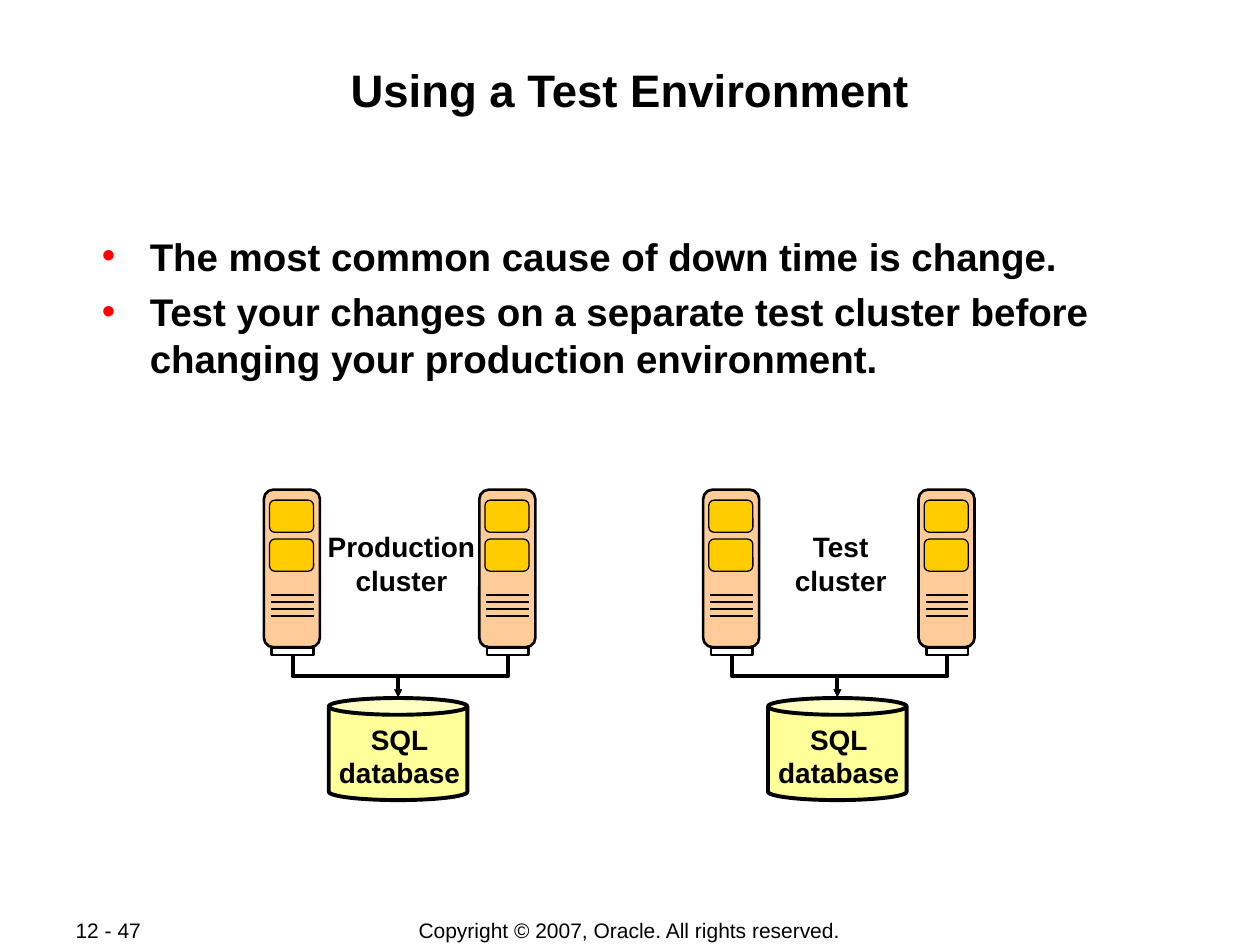
from pptx import Presentation
from pptx.dml.color import RGBColor
from pptx.enum.shapes import MSO_CONNECTOR, MSO_SHAPE
from pptx.enum.text import MSO_ANCHOR, PP_ALIGN
from pptx.oxml.ns import qn
from pptx.util import Pt
from lxml.etree import SubElement

TITLE = "Using a Test Environment"
POINTS = [
    "The most common cause of down time is change.",
    "Test your changes on a separate test cluster before changing your production environment.",
]
FOOTER = [
    ("12 - 47", 42.5, 70, PP_ALIGN.LEFT),
    ("Copyright © 2007, Oracle. All rights reserved.", 198, 323.3, PP_ALIGN.CENTER),
]
CLUSTERS = ["Production\ncluster", "Test\ncluster"]
STORE = "SQL\ndatabase"
FIRST, STEP, SPAN = 166.8, 251, 123.1
BASE, LID = 374.6, 398.4
BLACK, PEACH, GOLD, YELLOW, RED = "000000", "FFCC99", "FFCC00", "FFFF99", "FF0000"


def color(code):
    return RGBColor.from_string(code)


def place(shape, left, top, width, height):
    shape.left, shape.top = Pt(left), Pt(top)
    shape.width, shape.height = Pt(width), Pt(height)


def write(shape, lines, size, bold=True, align=PP_ALIGN.CENTER, anchor=MSO_ANCHOR.TOP):
    frame = shape.text_frame
    frame.word_wrap, frame.vertical_anchor = True, anchor
    frame.margin_left = frame.margin_right = Pt(0.7)
    frame.margin_top = frame.margin_bottom = Pt(0.7)
    for i, line in enumerate(lines):
        para = frame.add_paragraph() if i else frame.paragraphs[0]
        para.text = line
        para.alignment = align
        para.space_before = Pt(5.5 if i else 0)
        for run in para.runs:
            run.font.name, run.font.size, run.font.bold = "Arial", Pt(size), bold
            run.font.color.rgb = color(BLACK)
    return frame


def add_text(slide, box, lines, size, **style):
    shape = slide.shapes.add_textbox(*map(Pt, box))
    return write(shape, lines, size, **style)


def add_bullet(para):
    props = para._p.get_or_add_pPr()
    props.set("marL", str(Pt(36.7)))
    props.set("indent", str(-Pt(27.4)))
    tint = SubElement(props, qn("a:buClr"))
    SubElement(tint, qn("a:srgbClr")).set("val", RED)
    SubElement(props, qn("a:buFont")).set("typeface", "Arial")
    SubElement(props, qn("a:buChar")).set("char", "•")


def add_box(slide, kind, box, fill, width, round_by=None):
    shape = slide.shapes.add_shape(kind, *map(Pt, box))
    shape.shadow.inherit = False
    if fill:
        shape.fill.solid()
        shape.fill.fore_color.rgb = color(fill)
    else:
        shape.fill.background()
    shape.line.color.rgb, shape.line.width = color(BLACK), Pt(width)
    if round_by:
        shape.adjustments[0] = round_by


def add_line(slide, kind, ends, width):
    line = slide.shapes.add_connector(kind, *map(Pt, ends))
    line.line.color.rgb, line.line.width = color(BLACK), Pt(width)
    SubElement(line._element.spPr, qn("a:effectLst"))
    return line


def add_server(slide, mid):
    add_box(slide, MSO_SHAPE.ROUNDED_RECTANGLE, (mid - 16, 279.8, 32, 90), PEACH, 1.5, 0.167)
    for i in range(4):
        y = 340 + 4 * i
        add_line(slide, MSO_CONNECTOR.STRAIGHT, (mid - 12, y, mid + 12.5, y), 1.5)
    add_box(slide, MSO_SHAPE.RECTANGLE, (mid - 11.5, 370, 23.8, 4.3), None, 1.5)
    for y in (285.8, 308):
        box = (mid - 12.8, y, 25.2, 18.4)
        add_box(slide, MSO_SHAPE.ROUNDED_RECTANGLE, box, GOLD, 0.75, 0.167)


def add_link(slide, start, end):
    """Draw an elbow that drops from a server to the lid, as a turned connector."""
    mid, level = (start + end) / 2, (BASE + LID) / 2
    deep, wide = (LID - BASE) / 2, abs(end - start) / 2
    side = 1 if start < end else -1
    ends = (mid + side * deep, level - wide, mid - side * deep, level + wide)
    link = add_line(slide, MSO_CONNECTOR.ELBOW, ends, 2.25)
    turn = 270 if side > 0 else 90
    link._element.spPr.find(qn("a:xfrm")).set("rot", str(turn * 60000))
    head = SubElement(link.line._get_or_add_ln(), qn("a:tailEnd"))
    for key, value in (("type", "triangle"), ("w", "sm"), ("len", "sm")):
        head.set(key, value)


def add_cluster(slide, left, name):
    servers, center = (left, left + SPAN), left + 60.7
    for mid in servers:
        add_server(slide, mid)
    add_box(slide, MSO_SHAPE.CAN, (center - 39.6, 398.9, 79.2, 58.3), YELLOW, 2.25, 0.164)
    for mid in servers:
        add_link(slide, mid + 0.4, center)
    add_text(slide, (center - 49.2, 412, 100, 40), [STORE], 16)
    add_text(slide, (center - 48.1, 302, 100, 40), [name], 16)


def main():
    deck = Presentation()
    deck.slide_width, deck.slide_height = Pt(720), Pt(540)
    slide = deck.slides.add_slide(deck.slide_layouts[5])
    place(slide.shapes.title, 48.2, 34.8, 623.5, 69)
    write(slide.shapes.title, [TITLE], 26)
    for text, left, width, align in FOOTER:
        box = (left, 523.8, width, 15)
        add_text(slide, box, [text], 12, bold=False, align=align, anchor=MSO_ANCHOR.MIDDLE)
    body = add_text(slide, (48.2, 132.2, 623.5, 86), POINTS, 22, align=PP_ALIGN.LEFT)
    for para in body.paragraphs:
        add_bullet(para)
    for i, name in enumerate(CLUSTERS):
        add_cluster(slide, FIRST + i * STEP, name)
    deck.save("out.pptx")


if __name__ == "__main__":
    main()
